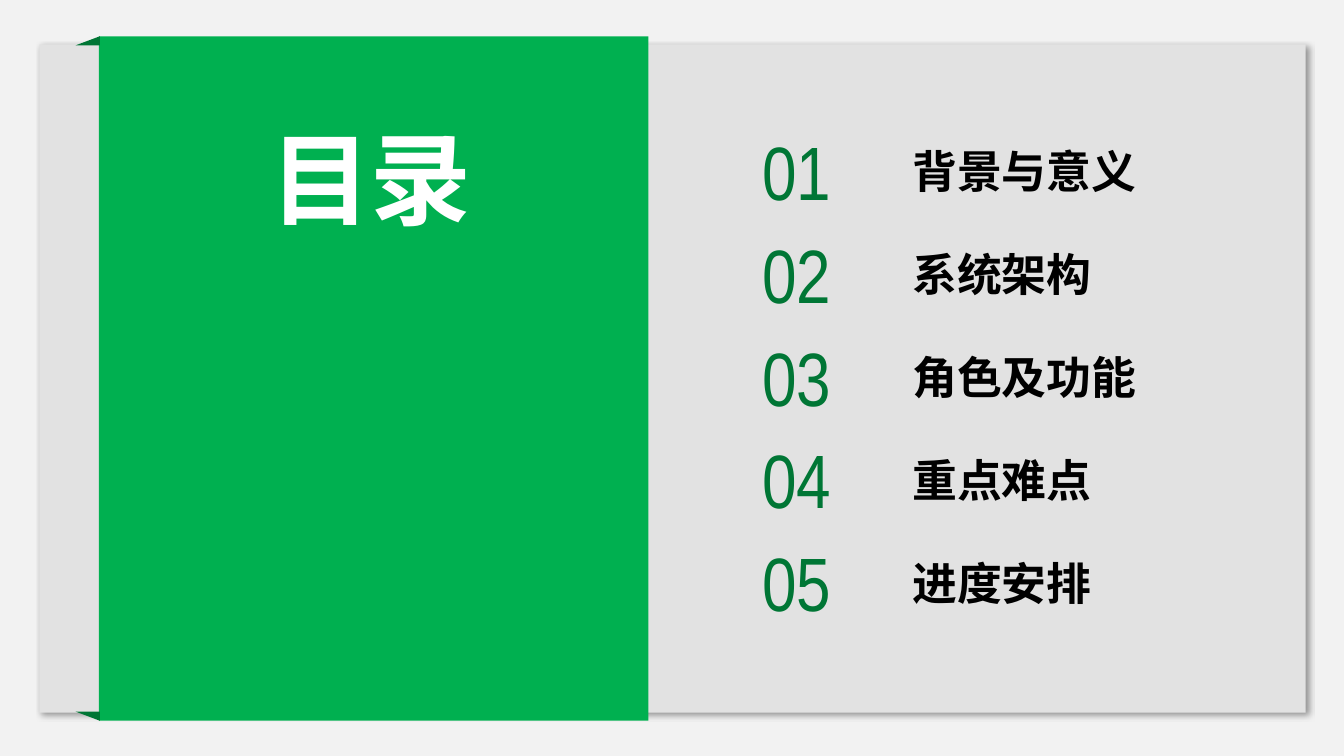
from dataclasses import dataclass

from lxml import etree
from pptx import Presentation
from pptx import util as u
from pptx.dml.color import RGBColor
from pptx.enum import shapes, text
from pptx.oxml import ns

PX = 9144
PALE, GREY = "F2F2F2", "E2E2E2"
GREEN, DARK = "00B050", "007635"
WHITE, BLACK = "FFFFFF", "000000"
HAN, SLIM = "Noto Sans CJK SC", "Arial Narrow"
RECT = shapes.MSO_SHAPE.RECTANGLE
WEDGE = shapes.MSO_SHAPE.RIGHT_TRIANGLE
FOLD = shapes.MSO_SHAPE.ISOSCELES_TRIANGLE
TOPICS = ["背景与意义", "系统架构", "角色及功能", "重点难点", "进度安排"]
PITCH = 102


@dataclass
class Box:
    left: int
    top: int
    width: int
    height: int

    def emu(self) -> list[int]:
        return [n * PX for n in (self.left, self.top, self.width, self.height)]


@dataclass
class Panel:
    kind: shapes.MSO_SHAPE
    box: Box
    fill: str
    tip: float | None = None
    turn: int = 0


@dataclass
class Label:
    words: str
    box: Box
    size: int
    font: str
    color: str
    bold: bool = True


def paint(fill, color: str) -> None:
    fill.solid()
    fill.fore_color.rgb = RGBColor.from_string(color)


def draw(slide, panel: Panel):
    shape = slide.shapes.add_shape(panel.kind, *panel.box.emu())
    shape.shadow.inherit = False
    shape.line.fill.background()
    paint(shape.fill, panel.fill)
    shape.rotation = panel.turn
    if panel.tip is not None:
        shape.adjustments[0] = panel.tip
    return shape


def shade(shape) -> None:
    effects = shape._element.spPr.find(ns.qn("a:effectLst"))
    outer = etree.SubElement(
        effects, ns.qn("a:outerShdw"), blurRad=str(u.Pt(4)),
        dist=str(u.Pt(3)), dir=str(45 * 60000), algn="tl", rotWithShape="0")
    color = etree.SubElement(outer, ns.qn("a:srgbClr"), val=BLACK)
    etree.SubElement(color, ns.qn("a:alpha"), val="40000")


def write(slide, label: Label) -> None:
    frame = slide.shapes.add_textbox(*label.box.emu()).text_frame
    frame.word_wrap = False
    frame.auto_size = text.MSO_AUTO_SIZE.SHAPE_TO_FIT_TEXT
    frame.text = label.words
    run = frame.paragraphs[0].runs[0]
    run.font.size = u.Pt(label.size)
    run.font.bold = label.bold
    run.font.name = label.font
    paint(run.font.fill, label.color)
    etree.SubElement(run.font._element, ns.qn("a:ea"), typeface=label.font)


def main() -> None:
    deck = Presentation()
    deck.slide_width, deck.slide_height = 1333 * PX, 750 * PX
    slide = deck.slides.add_slide(deck.slide_layouts[6])
    paint(slide.background.fill, PALE)

    shade(draw(slide, Panel(RECT, Box(39, 44, 1256, 663), GREY)))
    for panel in (
        Panel(RECT, Box(98, 36, 545, 679), GREEN),
        Panel(FOLD, Box(75, 706, 24, 9), DARK, 0, 180),
        Panel(FOLD, Box(75, 36, 24, 9), DARK, 1),
    ):
        draw(slide, panel)

    write(slide, Label("目录", Box(258, 111, 222, 131), 72, HAN, WHITE))
    for i, topic in enumerate(TOPICS):
        step = i * PITCH
        spot = Box(746, 119 + step, 99, 101)
        write(slide, Label(f"{i + 1:02}", spot, 54, SLIM, DARK, False))
        wide = 20 + 45 * len(topic)
        spot = Box(895, 138 + step, wide, 64)
        write(slide, Label(topic, spot, 32, HAN, BLACK))

    deck.save("out.pptx")


if __name__ == "__main__":
    main()
